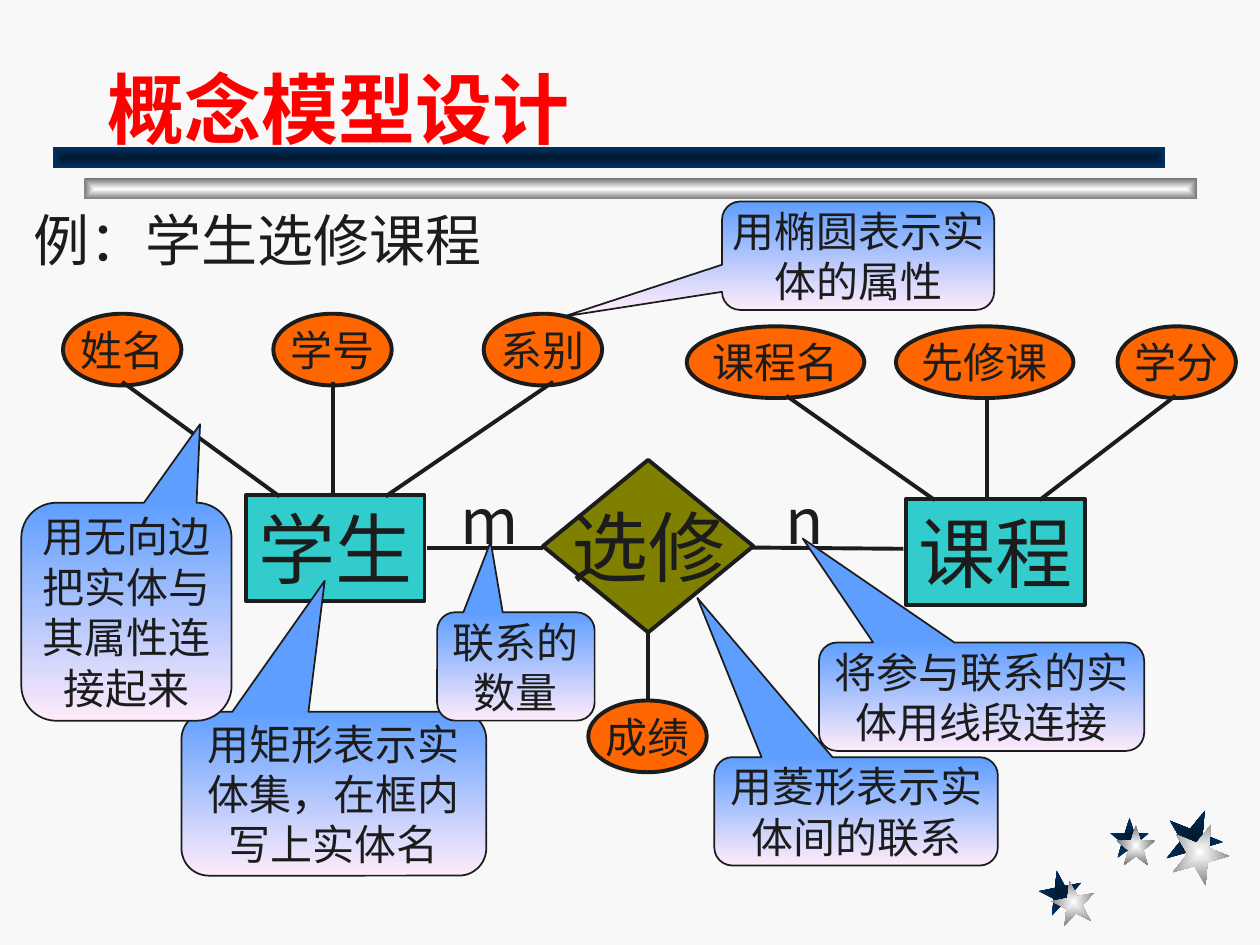
import math
from dataclasses import dataclass

from lxml import etree
from pptx import Presentation
from pptx.dml.color import RGBColor
from pptx.enum import shapes, text
from pptx.oxml.ns import qn
from pptx.util import Pt

PAPER = RGBColor(0xF8, 0xF8, 0xF8)
INK = RGBColor(0x1C, 0x1C, 0x1C)
RED = RGBColor(0xFF, 0x00, 0x00)
TEAL = RGBColor(0x33, 0xCC, 0xCC)
OLIVE = RGBColor(0x80, 0x80, 0x00)
ORANGE = RGBColor(0xFF, 0x66, 0x00)
NAVY = (RGBColor(0x00, 0x18, 0x2F), RGBColor(0x00, 0x33, 0x66))
SILVER = (RGBColor(0xFF, 0xFF, 0xFF), RGBColor(0x76, 0x76, 0x76))
SKY = (RGBColor(0x5E, 0x9E, 0xFF), RGBColor(0xFF, 0xEB, 0xFA))
BODY_FONT = "Noto Sans CJK JP"
TITLE_FONT = "Noto Sans CJK SC"
KIND = shapes.MSO_SHAPE
CENTER = text.PP_ALIGN.CENTER
MIDDLE = text.MSO_ANCHOR.MIDDLE


@dataclass
class Box:
    """A rectangle in points."""
    left: float
    top: float
    width: float
    height: float

    def emu(self) -> tuple:
        return Pt(self.left), Pt(self.top), Pt(self.width), Pt(self.height)


@dataclass
class Node:
    label: str
    kind: int
    box: Box
    fill: RGBColor
    size: int


@dataclass
class Callout:
    label: str
    box: Box
    tip: tuple  # pointer offset from the centre, as a share of the size


@dataclass
class Star:
    left: float
    top: float
    width: float
    height: float
    turn: int


def write(shape, words: str, size: int, font=BODY_FONT, color=INK, bold=False,
          align=CENTER, anchor=MIDDLE, wrap=True, grow=False, inset=(7.2, 3.6)) -> None:
    frame = shape.text_frame
    frame.text = words
    frame.word_wrap = wrap
    frame.auto_size = (text.MSO_AUTO_SIZE.SHAPE_TO_FIT_TEXT if grow
                       else text.MSO_AUTO_SIZE.NONE)
    frame.vertical_anchor = anchor
    frame.margin_left = frame.margin_right = Pt(inset[0])
    frame.margin_top = frame.margin_bottom = Pt(inset[1])
    for para in frame.paragraphs:
        para.alignment = align
        para.font.size = Pt(size)
        para.font.bold = bold
        para.font.color.rgb = color
        para.font.name = font
        # East Asian typeface
        defaults = para._p.pPr.find(qn("a:defRPr"))
        etree.SubElement(defaults, qn("a:ea"), typeface=font)


def shade(shape, colors: tuple, from_center: bool) -> None:
    shape.fill.gradient()
    for stop, color in zip(shape.fill.gradient_stops, colors):
        stop.color.rgb = color
    if not from_center:
        shape.fill.gradient_angle = 270
        return
    gradient = shape._element.spPr.find(qn("a:gradFill"))
    linear = gradient.find(qn("a:lin"))
    radial = etree.Element(qn("a:path"), path="rect")
    etree.SubElement(radial, qn("a:fillToRect"), l="50000", t="50000", r="50000", b="50000")
    gradient.replace(linear, radial)


def outline(shape, width: float) -> None:
    shape.shadow.inherit = False
    shape.line.color.rgb = INK
    shape.line.width = Pt(width)


def draw_ornament(shape, colors: tuple) -> None:
    shape.shadow.inherit = False
    shape.line.fill.background()
    shade(shape, colors, from_center=True)


def draw_star(page, star: Star, colors: tuple, shift=(0, 0)) -> None:
    points = []
    for step in range(10):
        radius = 0.382 if step % 2 else 1
        angle = math.radians(198 + 36 * step)
        x = 0.5 + radius * math.cos(angle) / 1.902
        y = (1 + radius * math.sin(angle)) / 1.809
        points.append((Pt(star.left + shift[0] + x * star.width),
                       Pt(star.top + shift[1] + y * star.height)))
    builder = page.shapes.build_freeform(*points[0])
    builder.add_line_segments(points[1:], close=True)
    shape = builder.convert_to_shape()
    shape.rotation = star.turn
    draw_ornament(shape, colors)


def draw_node(page, node: Node) -> None:
    shape = page.shapes.add_shape(node.kind, *node.box.emu())
    outline(shape, 2.25)
    shape.fill.solid()
    shape.fill.fore_color.rgb = node.fill
    inset = (0, 0) if node.kind == KIND.OVAL else (7.2, 3.6)
    write(shape, node.label, node.size, wrap=False, inset=inset)


def draw_edge(page, x1: float, y1: float, x2: float, y2: float) -> None:
    edge = page.shapes.add_connector(shapes.MSO_CONNECTOR.STRAIGHT,
                                     Pt(x1), Pt(y1), Pt(x2), Pt(y2))
    edge.line.color.rgb = INK
    edge.line.width = Pt(2.25)
    etree.SubElement(edge._element.spPr, qn("a:effectLst"))


def draw_callout(page, callout: Callout) -> None:
    shape = page.shapes.add_shape(KIND.ROUNDED_RECTANGULAR_CALLOUT, *callout.box.emu())
    for index, value in enumerate((*callout.tip, 0.167)):
        shape.adjustments[index] = value
    outline(shape, 1)
    shade(shape, SKY, from_center=False)
    write(shape, callout.label, 24, grow=True, inset=(0, 0))


def attribute(label: str, left: float, top: float, width=67.7) -> Node:
    return Node(label, KIND.OVAL, Box(left, top, width, 41), ORANGE, 24)


STARS = [(Star(594, 497.5, 24.5, 24.5, 349), (7.2, 5.8)),
         (Star(634.3, 467.3, 22.3, 23, 0), (3.6, 4.3)),
         (Star(666, 462.2, 32.4, 33.1, 22), (3.6, 8))]
NODES = [
    Node("学生", KIND.RECTANGLE, Box(140.4, 283, 102.2, 60.5), TEAL, 44),
    Node("课程", KIND.RECTANGLE, Box(517.7, 285.1, 102.2, 60.5), TEAL, 44),
    Node("选修", KIND.DIAMOND, Box(310.3, 262.8, 120.2, 98.6), OLIVE, 44),
    *[attribute(label, 36 + 120.2 * i, 179.3)
      for i, label in enumerate(("姓名", "学号", "系别"))],
    attribute("课程名", 392.4, 186.5, 101.5),
    attribute("先修课", 511.9, 186.5, 101.5),
    attribute("学分", 638.6, 186.5),
    attribute("成绩", 336.2, 400.3),
]
EDGES = [
    (310.3, 313.2, 244.1, 313.2), (516.2, 313.6, 429.8, 312.9),
    (190.1, 218.2, 190.1, 283.7), (159.8, 283.7, 69.8, 218.2), (220.3, 283.7, 316.1, 218.2),
    (534.2, 285.8, 449.3, 226.1), (594, 285.8, 671.8, 226.1), (563.8, 226.1, 563.8, 285.8),
    (370.1, 361.4, 370.1, 399.6),
]
CALLOUTS = [
    Callout("用矩形表示实体集，在框内写上实体名", Box(103.7, 406.8, 174.2, 93.6), (-0.03, -1.3)),
    Callout("用椭圆表示实体的属性", Box(412.6, 115.2, 155.5, 61.9), (-1.08, 0.56)),
    Callout("用无向边把实体与其属性连接起来", Box(12.2, 287.3, 120.2, 124.6), (0.35, -0.86)),
    Callout("用菱形表示实体间的联系", Box(408.2, 432.7, 162, 61.9), (-0.56, -1.97)),
    Callout("将参与联系的实体用线段连接", Box(468, 367.2, 185.8, 61.9), (-0.55, -1.46)),
]
COUNT_CALLOUT = Callout("联系的\n数量", Box(249.8, 349.9, 90, 61.9), (-0.16, -1.15))


def main() -> None:
    deck = Presentation()
    deck.slide_width, deck.slide_height = Pt(720), Pt(540)
    page = deck.slides.add_slide(deck.slide_layouts[5])
    page.background.fill.solid()
    page.background.fill.fore_color.rgb = PAPER

    # Stars and bars
    for star, shift in STARS:
        draw_star(page, star, NAVY)
        draw_star(page, star, SILVER, shift)
    for left, top, colors in ((48.2, 102, SILVER), (30.2, 84, NAVY)):
        bar = page.shapes.add_shape(KIND.RECTANGLE, *Box(left, top, 635.8, 12).emu())
        draw_ornament(bar, colors)

    # Title and example
    title = page.shapes.title
    title.left, title.top, title.width, title.height = Box(54, 18, 613.4, 73.4).emu()
    write(title, "概念模型设计", 44, TITLE_FONT, RED, bold=True,
          align=text.PP_ALIGN.LEFT, anchor=text.MSO_ANCHOR.BOTTOM)
    example = page.shapes.add_textbox(*Box(12.2, 113.8, 282.2, 46.1).emu())
    write(example, "例：学生选修课程", 32, align=text.PP_ALIGN.LEFT,
          anchor=text.MSO_ANCHOR.TOP, grow=True)

    # Entity-relationship diagram
    for node in NODES:
        draw_node(page, node)
    for edge in EDGES:
        draw_edge(page, *edge)

    # Explanations and cardinalities
    for callout in CALLOUTS:
        draw_callout(page, callout)
    for label, left in (("m", 267.8), ("n", 447.8)):
        box = page.shapes.add_textbox(*Box(left, 285.8, 23.8, 21.6).emu())
        write(box, label, 36, wrap=False)
    draw_callout(page, COUNT_CALLOUT)

    deck.save("out.pptx")


if __name__ == "__main__":
    main()
